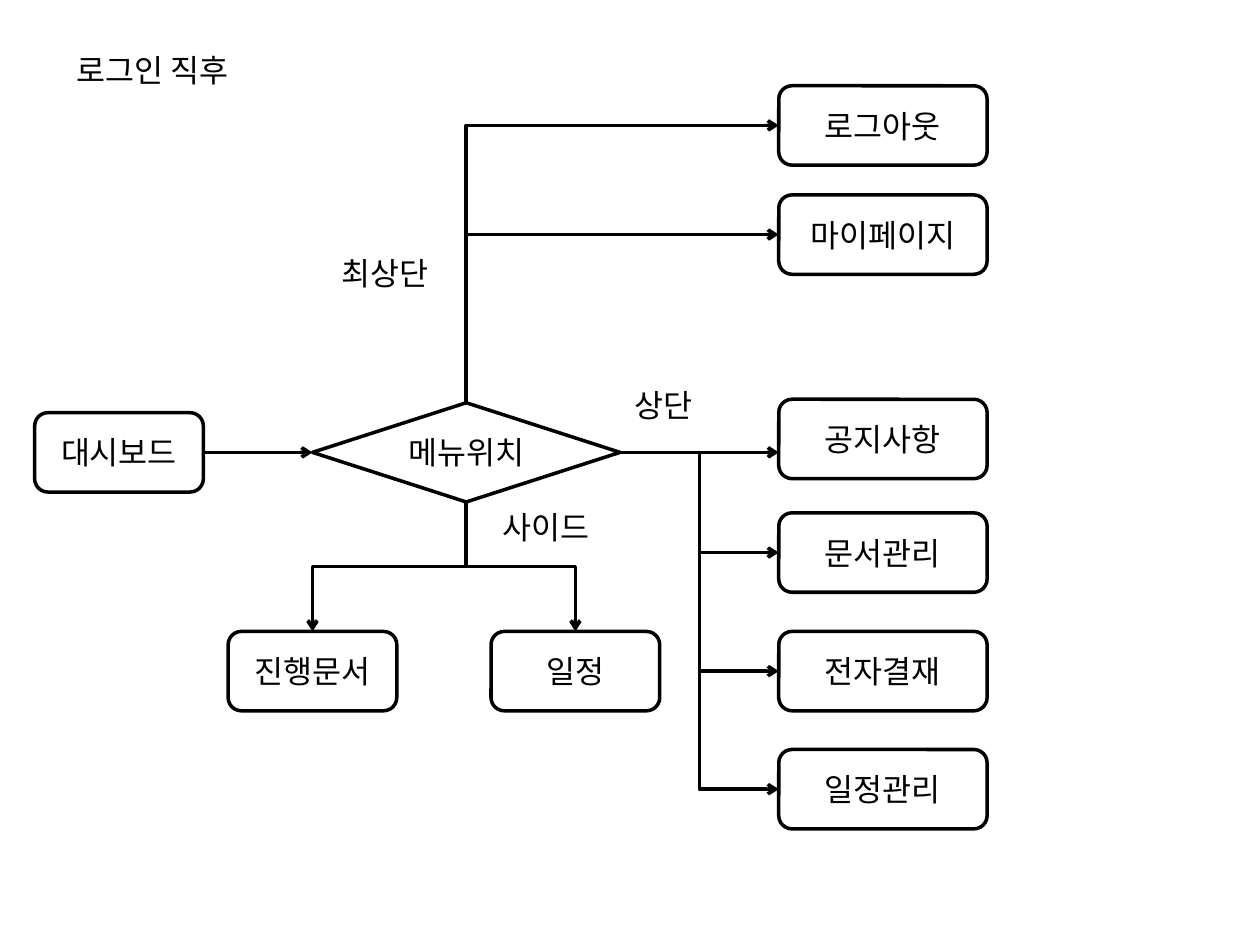
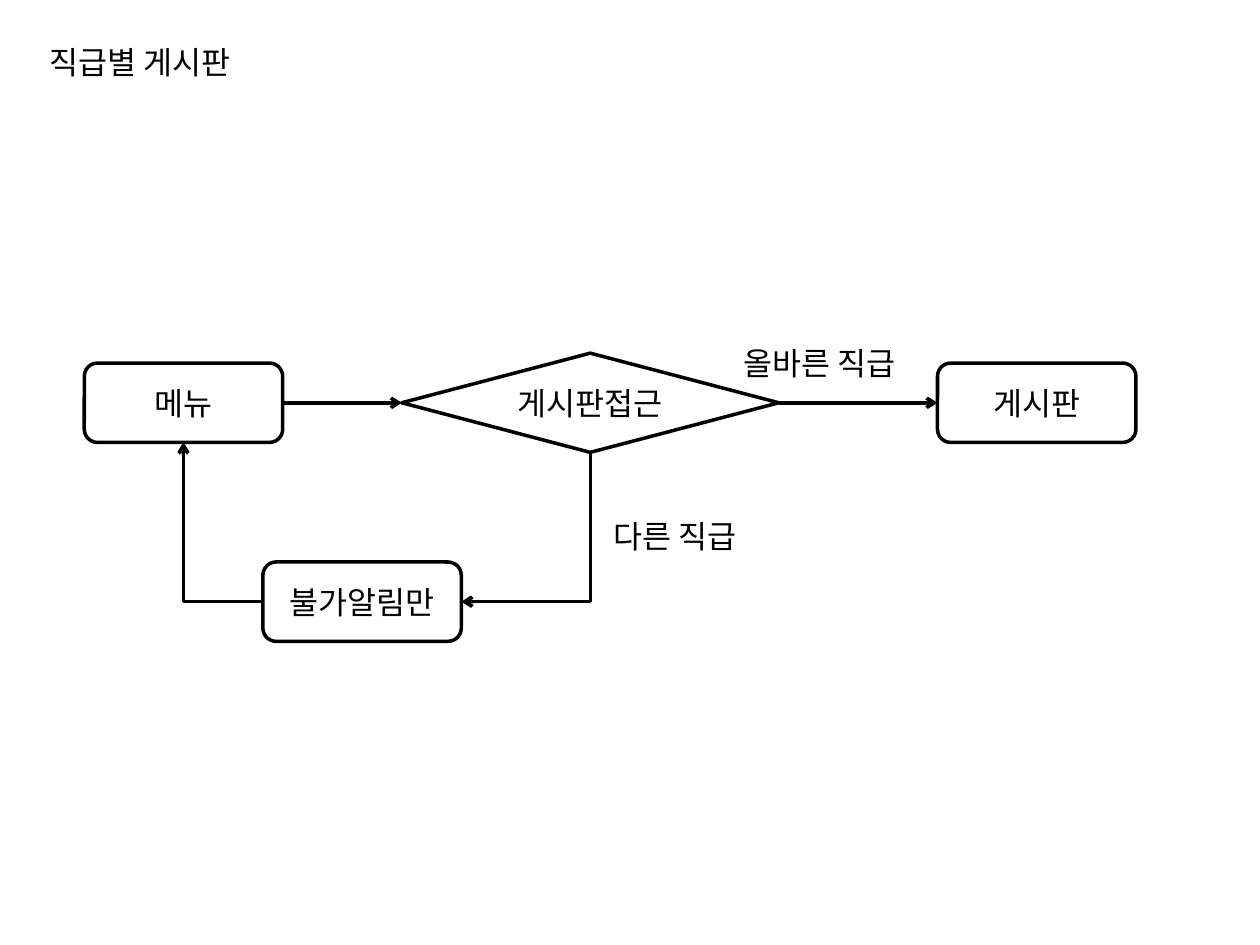
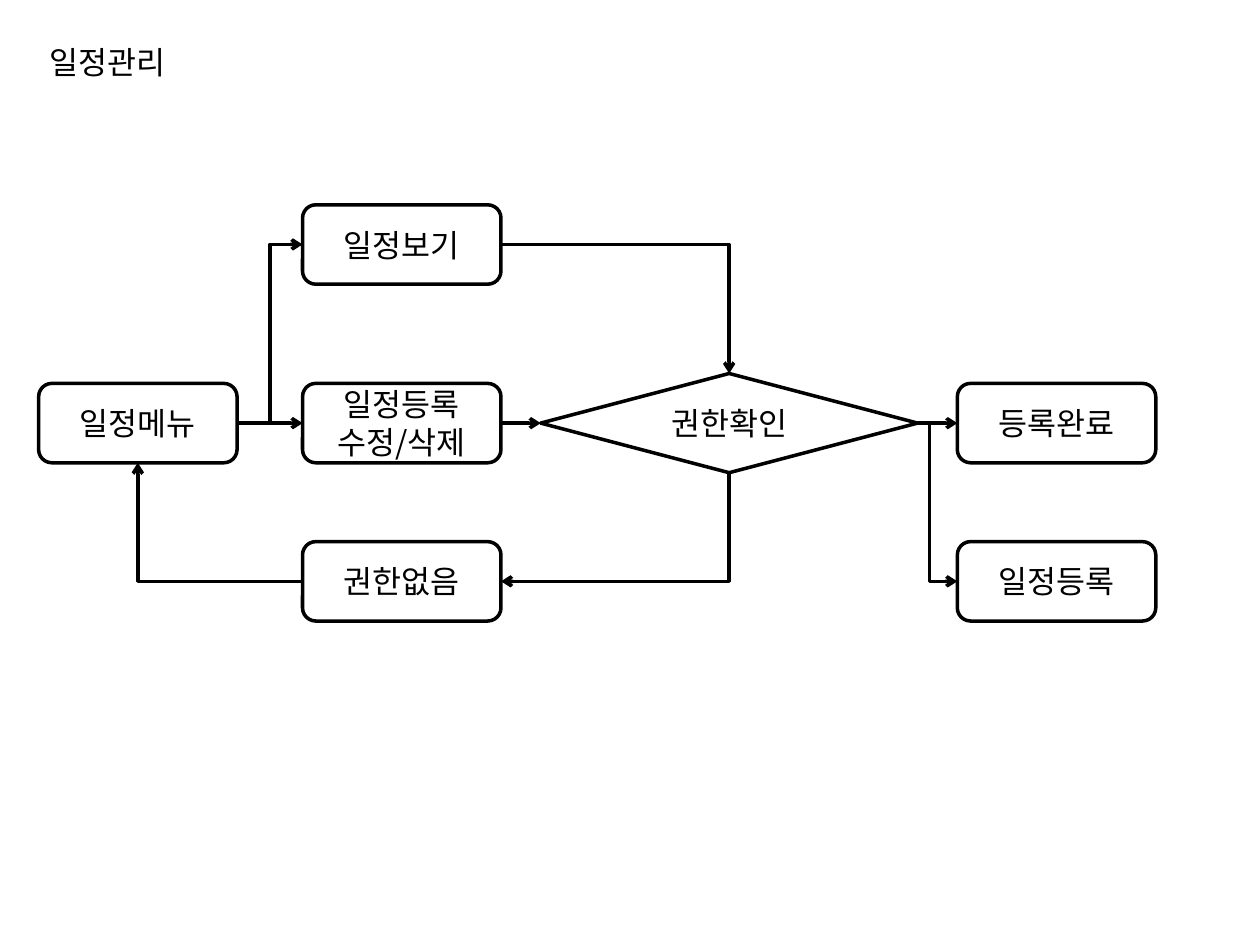
"""Build three flowcharts of the menu, board and schedule flows."""
from dataclasses import dataclass
from enum import IntEnum

from lxml.etree import SubElement
from pptx import Presentation
from pptx.dml.color import RGBColor
from pptx.enum.shapes import MSO_CONNECTOR, MSO_SHAPE
from pptx.enum.text import MSO_ANCHOR, MSO_AUTO_SIZE, PP_ALIGN
from pptx.oxml.ns import qn
from pptx.util import Cm, Pt


@dataclass(frozen=True)
class Theme:
    """Colours, type and sizes shared by all slides."""
    ink: RGBColor = RGBColor(0, 0, 0)
    paper: RGBColor = RGBColor(255, 255, 255)
    font: str = "Noto Sans CJK KR"
    size: Pt = Pt(18)
    stroke: Pt = Pt(2)
    step_height: float = 1.6
    decision_height: float = 2
    label_height: float = 1.02


class Side(IntEnum):
    """Connection sites of a box or a diamond."""
    TOP = 0
    LEFT = 1
    BOTTOM = 2
    RIGHT = 3


THEME = Theme()
UPRIGHT = (Side.TOP, Side.BOTTOM)


def write(frame, text, align=PP_ALIGN.LEFT):
    """Fill a text frame with one paragraph per line of text."""
    frame.text = text
    for para in frame.paragraphs:
        para.alignment = align
        for span in para.runs:
            span.font.name = THEME.font
            span.font.size = THEME.size
            span.font.color.rgb = THEME.ink
            SubElement(span.font._element, qn("a:ea"), typeface=THEME.font)


def add_node(page, kind, text, left, top, width, height):
    """Add an outlined shape with centred text."""
    node = page.shapes.add_shape(kind, Cm(left), Cm(top), Cm(width), Cm(height))
    node.shadow.inherit = False
    node.fill.solid()
    node.fill.fore_color.rgb = THEME.paper
    node.line.color.rgb = THEME.ink
    node.line.width = THEME.stroke
    node.text_frame.vertical_anchor = MSO_ANCHOR.MIDDLE
    write(node.text_frame, text, align=PP_ALIGN.CENTER)
    return node


def add_step(page, text, left, top, width=4):
    """Add a rounded box for a step."""
    return add_node(page, MSO_SHAPE.ROUNDED_RECTANGLE, text, left, top, width, THEME.step_height)


def add_decision(page, text, left, top, width=7.6):
    """Add a diamond for a decision."""
    return add_node(page, MSO_SHAPE.DIAMOND, text, left, top, width, THEME.decision_height)


def add_label(page, text, left, top, width):
    """Add a line of free text."""
    box = page.shapes.add_textbox(Cm(left), Cm(top), Cm(width), Cm(THEME.label_height))
    box.text_frame.word_wrap = False
    box.text_frame.auto_size = MSO_AUTO_SIZE.SHAPE_TO_FIT_TEXT
    write(box.text_frame, text)


def style_arrow(link):
    """Give a connector its stroke and arrowhead, without a shadow."""
    link.line.color.rgb = THEME.ink
    link.line.width = THEME.stroke
    properties = link._element.spPr
    SubElement(properties.find(qn("a:ln")), qn("a:tailEnd"), type="arrow")
    SubElement(properties, qn("a:effectLst"))


def add_arrow(page, source, target):
    """Draw a level arrow from the right of one node to the left of another."""
    level = source.top + source.height // 2
    start = source.left + source.width
    link = page.shapes.add_connector(MSO_CONNECTOR.STRAIGHT, start, level, target.left, level)
    style_arrow(link)


def turn_upright(link):
    """Rotate an elbow a quarter turn so that it leaves its start vertically."""
    start_x, start_y, end_x, end_y = link.begin_x, link.begin_y, link.end_x, link.end_y
    middle_x, middle_y = (start_x + end_x) // 2, (start_y + end_y) // 2
    half_along, half_across = (end_y - start_y) // 2, (start_x - end_x) // 2
    link.begin_x, link.begin_y = middle_x - half_along, middle_y - half_across
    link.end_x, link.end_y = middle_x + half_along, middle_y + half_across
    link._element.spPr.find(qn("a:xfrm")).set("rot", "5400000")


def add_elbow(page, source, leave, target, enter, bend=None):
    """Join two nodes with a bent arrow; bend is the share before the turn."""
    link = page.shapes.add_connector(MSO_CONNECTOR.ELBOW, 0, 0, 0, 0)
    link.begin_connect(source, leave)
    link.end_connect(target, enter)
    geometry = link._element.spPr.find(qn("a:prstGeom"))
    if (leave in UPRIGHT) != (enter in UPRIGHT):
        geometry.set("prst", "bentConnector2")
    if bend is not None:
        SubElement(geometry.find(qn("a:avLst")), qn("a:gd"), name="adj1", fmla=f"val {round(bend * 100000)}")
    if leave in UPRIGHT:
        turn_upright(link)
    style_arrow(link)


def build_login(page):
    """Show the menus that open after login."""
    dashboard = add_step(page, "대시보드", 0.7, 8.32, width=3.4)
    position = add_decision(page, "메뉴위치", 6.3, 8.12, width=6.2)
    side_menu = [add_step(page, text, left, 12.73, width=3.4)
                 for text, left in (("진행문서", 4.6), ("일정", 9.9))]
    notice, *top_menu = [add_step(page, text, 15.7, top, width=4.2) for text, top in (
        ("공지사항", 8.05), ("문서관리", 10.34), ("전자결재", 12.73), ("일정관리", 15.11))]
    account_menu = [add_step(page, text, 15.7, top, width=4.2)
                    for text, top in (("로그아웃", 1.73), ("마이페이지", 3.93))]
    add_arrow(page, dashboard, position)
    add_arrow(page, position, notice)
    for leave, targets, enter in (
        (Side.RIGHT, top_menu, Side.LEFT),
        (Side.TOP, account_menu, Side.LEFT),
        (Side.BOTTOM, side_menu, Side.TOP),
    ):
        for target in targets:
            add_elbow(page, position, leave, target, enter)
    add_label(page, "로그인 직후", 1.3, 0.91, 3.94)
    add_label(page, "최상단", 6.63, 5, 2.44)
    add_label(page, "상단", 12.55, 7.65, 1.8)
    add_label(page, "사이드", 9.88, 10.12, 2.44)


def build_board(page):
    """Show access to the boards by rank."""
    add_label(page, "직급별 게시판", 0.74, 0.74, 4.6)
    menu = add_step(page, "메뉴", 1.7, 7.32)
    refusal = add_step(page, "불가알림만", 5.3, 11.33)
    board = add_step(page, "게시판", 18.9, 7.32)
    access = add_decision(page, "게시판접근", 8.1, 7.12)
    add_arrow(page, menu, access)
    add_arrow(page, access, board)
    add_elbow(page, access, Side.BOTTOM, refusal, Side.RIGHT)
    add_elbow(page, refusal, Side.LEFT, menu, Side.BOTTOM)
    add_label(page, "올바른 직급", 14.73, 6.81, 3.94)
    add_label(page, "다른 직급", 12.12, 10.29, 3.3)


def build_schedule(page):
    """Show how a schedule is viewed and edited."""
    add_label(page, "일정관리", 0.74, 0.74, 3.07)
    menu = add_step(page, "일정메뉴", 0.78, 7.73)
    edit = add_step(page, "일정등록\n수정/삭제", 6.1, 7.73)
    done = add_step(page, "등록완료", 19.3, 7.73)
    check = add_decision(page, "권한확인", 10.9, 7.53)
    refusal = add_step(page, "권한없음", 6.1, 10.92)
    view = add_step(page, "일정보기", 6.1, 4.13)
    entry = add_step(page, "일정등록", 19.3, 10.92)
    for source, target in ((menu, edit), (edit, check), (check, done)):
        add_arrow(page, source, target)
    add_elbow(page, menu, Side.RIGHT, view, Side.LEFT)
    add_elbow(page, view, Side.RIGHT, check, Side.TOP)
    add_elbow(page, check, Side.RIGHT, entry, Side.LEFT, bend=0.3)
    add_elbow(page, check, Side.BOTTOM, refusal, Side.RIGHT)
    add_elbow(page, refusal, Side.LEFT, menu, Side.BOTTOM)


def main():
    """Build the deck and save it."""
    deck = Presentation()
    deck.slide_width, deck.slide_height = Cm(25.4), Cm(19.05)
    for build in (build_login, build_board, build_schedule):
        build(deck.slides.add_slide(deck.slide_layouts[6]))
    deck.save("out.pptx")


if __name__ == "__main__":
    main()
